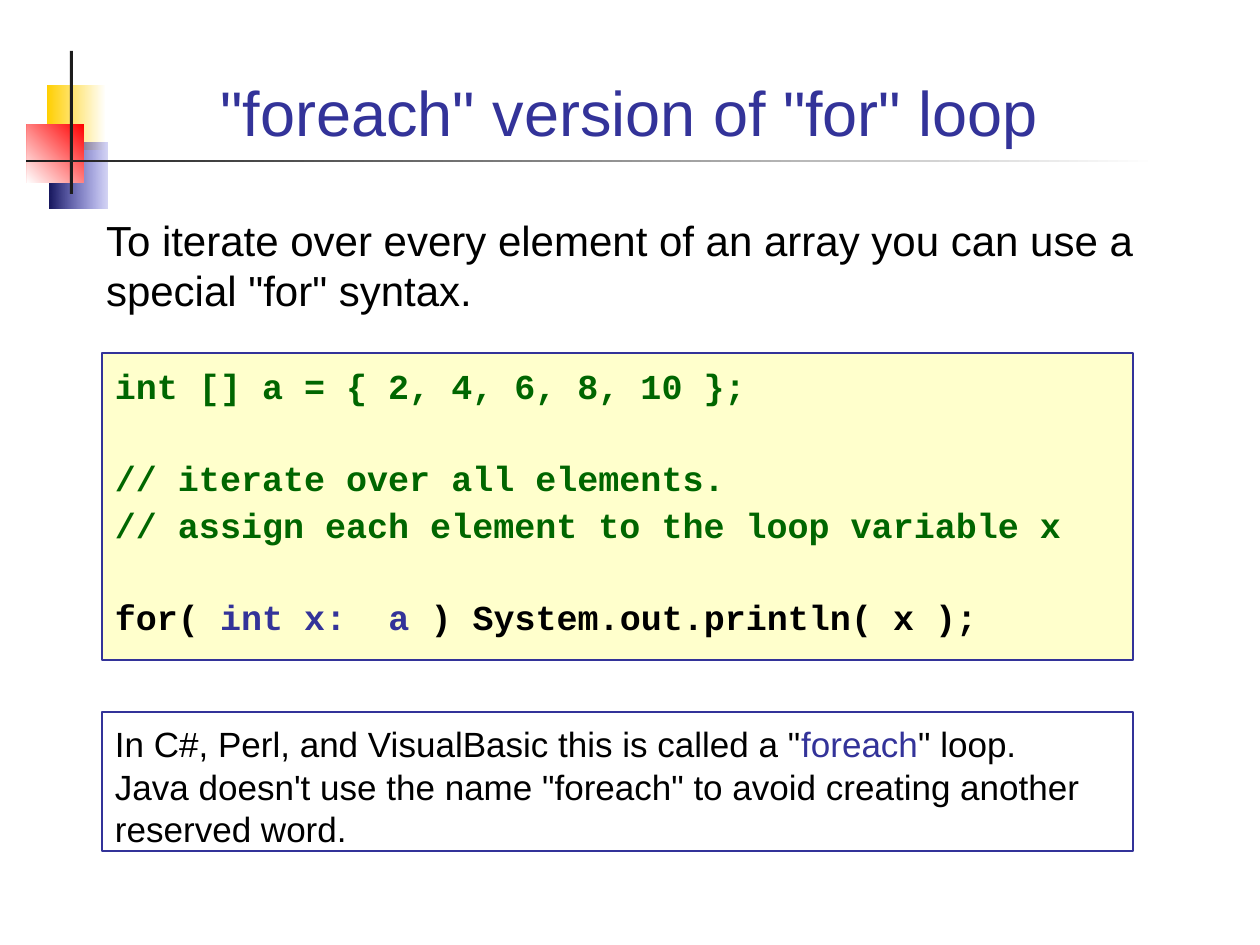
from lxml import etree
from pptx import Presentation
from pptx.dml.color import RGBColor
from pptx.enum.shapes import MSO_SHAPE
from pptx.enum.text import MSO_ANCHOR, MSO_AUTO_SIZE, PP_ALIGN
from pptx.oxml.ns import qn
from pptx.util import Emu, Pt

RECTANGLE = MSO_SHAPE.RECTANGLE
TOP, BOTTOM = MSO_ANCHOR.TOP, MSO_ANCHOR.BOTTOM
LEFT, CENTER = PP_ALIGN.LEFT, PP_ALIGN.CENTER
NO_FIT = MSO_AUTO_SIZE.NONE

EMU_PER_PX = 914400 / 126
LINE_RATIO = 1.2
COLORS = {
    "white": "FFFFFF", "black": "000000", "ink": "1C1C1C",
    "yellow": "FFCF01", "red": "FF0000", "blue": "3333CC", "navy": "17175E",
    "accent": "333399", "cream": "FFFFCC", "green": "006600",
}


def px(length):
    return Emu(round(length * EMU_PER_PX))


def color(name):
    return RGBColor.from_string(COLORS[name])


def add_rectangle(page, bounds, fill=None, line=None):
    box = page.shapes.add_shape(RECTANGLE, *map(px, bounds))
    box.shadow.inherit = False
    if fill:
        box.fill.solid()
        box.fill.fore_color.rgb = color(fill)
    else:
        box.fill.background()
    if line:
        box.line.color.rgb = color(line)
        box.line.width = Pt(0.75)
    else:
        box.line.fill.background()
    return box


def add_gradient(page, bounds, start, end, angle=180, start_alpha=None):
    box = add_rectangle(page, bounds)
    box.fill.gradient()
    box.fill.gradient_angle = angle
    for stop, name in zip(box.fill.gradient_stops, (start, end)):
        stop.color.rgb = color(name)
    if start_alpha is not None:
        first_color = next(box._element.spPr.iter(qn("a:srgbClr")))
        alpha = etree.SubElement(first_color, qn("a:alpha"))
        alpha.set("val", str(start_alpha * 1000))


def place(box, bounds):
    box.left, box.top, box.width, box.height = map(px, bounds)


def set_frame(box, anchor=TOP, top_inset=11):
    frame = box.text_frame
    frame.word_wrap = True
    frame.auto_size = NO_FIT
    frame.vertical_anchor = anchor
    frame.margin_left = frame.margin_right = px(13)
    frame.margin_top, frame.margin_bottom = px(top_inset), px(6)
    return frame


def add_spans(para, spans, size, font="Arial", bold=False):
    for text, name in spans:
        span = para.add_run()
        span.text = text
        span.font.name = font
        span.font.size = Pt(size)
        span.font.bold = bold
        span.font.color.rgb = color(name)


def set_paragraph(para, size, align=LEFT, before=0):
    para.alignment = align
    para.line_spacing = Pt(size * LINE_RATIO)
    para.space_before = Pt(before)


def add_decoration(page):
    add_gradient(page, (47, 85, 59, 65), "white", "yellow")
    add_gradient(page, (49, 143, 58, 66), "blue", "navy", start_alpha=20)
    add_gradient(page, (27, 124, 57, 59), "red", "white", angle=225)
    add_rectangle(page, (70, 51, 3, 143), fill="ink")
    add_gradient(page, (26, 160, 1132, 2), "white", "ink")


def fill_title(title):
    place(title, (84, 35, 1091, 120))
    para = set_frame(title, BOTTOM, top_inset=6).paragraphs[0]
    para.alignment = CENTER
    add_spans(para, [('"foreach" version of "for" loop', "accent")], 36)


def fill_body(body):
    place(body, (93, 203, 1114, 113))
    para = set_frame(body).paragraphs[0]
    set_paragraph(para, 24)
    properties = para._p.get_or_add_pPr()
    properties.set("marL", "0")
    properties.set("indent", "0")
    etree.SubElement(properties, qn("a:buNone"))
    add_spans(para, [("To iterate over every element of an array you can use a "
                      'special "for" syntax.', "black")], 24)


def add_code(page):
    box = add_rectangle(page, (102, 353, 1031, 307), "cream", "accent")
    frame = set_frame(box)
    # Space before each line; a wide gap separates the code groups
    close, wide = 2.5, 29
    lines = [
        (0, [("int [] a = { 2, 4, 6, 8, 10 };", "green")]),
        (wide, [("// iterate over all elements.", "green")]),
        (close, [("// assign each element to the loop variable x", "green")]),
        (wide, [("for( ", "black"), ("int x:  a", "accent"),
                (" ) System.out.println( x );", "black")]),
    ]
    for index, (before, spans) in enumerate(lines):
        para = frame.add_paragraph() if index else frame.paragraphs[0]
        set_paragraph(para, 20, before=before)
        add_spans(para, spans, 20, "Courier New", bold=True)


def add_note(page):
    box = add_rectangle(page, (102, 712, 1031, 139), line="accent")
    para = set_frame(box).paragraphs[0]
    set_paragraph(para, 20)
    add_spans(para, [('In C#, Perl, and VisualBasic this is called a "', "black"),
                     ("foreach", "accent"), ('" loop.', "black")], 20)
    para.add_line_break()
    add_spans(para, [('Java doesn\'t use the name "foreach" to avoid creating '
                      "another reserved word.", "black")], 20)


def main():
    deck = Presentation()
    deck.slide_width, deck.slide_height = px(1260), px(945)
    page = deck.slides.add_slide(deck.slide_layouts[1])

    # Corner squares and rules
    add_decoration(page)

    # Heading and introduction
    fill_title(page.shapes.title)
    fill_body(page.placeholders[1])

    # Code sample and remark
    add_code(page)
    add_note(page)

    deck.save("out.pptx")


if __name__ == "__main__":
    main()
